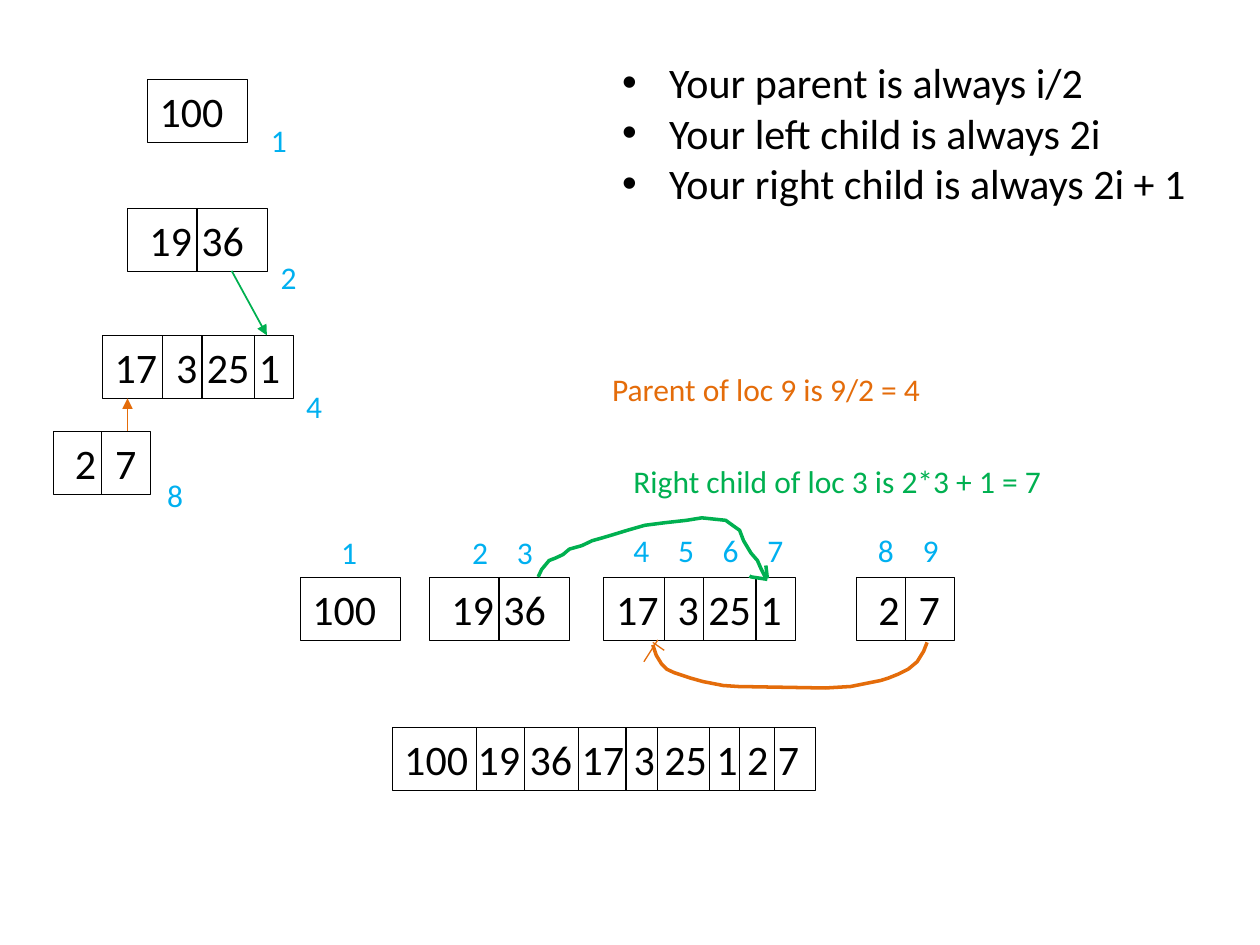
"""Build a slide that shows a binary heap as tree levels and as an array."""
from lxml import etree
from pptx import Presentation
from pptx.dml.color import RGBColor
from pptx.enum.shapes import MSO_CONNECTOR
from pptx.enum.text import MSO_AUTO_SIZE
from pptx.oxml.ns import qn
from pptx.util import Cm, Pt

STRAIGHT = MSO_CONNECTOR.STRAIGHT
FIT_SHAPE = MSO_AUTO_SIZE.SHAPE_TO_FIT_TEXT

THEME = {
    "font": "Calibri",
    "ink": RGBColor(0x00, 0x00, 0x00),
    "index": RGBColor(0x00, 0xB0, 0xF0),
    "parent": RGBColor(0xE4, 0x6C, 0x0A),
    "child": RGBColor(0x00, 0xB0, 0x50),
    "value_size": Pt(24),
    "note_size": Pt(18),
    "border": Pt(0.25),
    "divider": Pt(0.75),
    "arrow": Pt(1),
    "stroke": Pt(2),
}
FRAME_FORMAT = {"word_wrap": False, "auto_size": FIT_SHAPE}
CELL_HEIGHT = 1.27
NOTE_HEIGHT = 1.02
INSET = 0.25

prs = Presentation()
prs.slide_width, prs.slide_height = Cm(25.4), Cm(19.05)
slide = prs.slides.add_slide(prs.slide_layouts[6])
shapes = slide.shapes


def add_text(text, left, top, width, height, size, color, stops=()):
    box = shapes.add_textbox(Cm(left), Cm(top), Cm(width), Cm(height))
    frame = box.text_frame
    for name, value in FRAME_FORMAT.items():
        setattr(frame, name, value)
    for number, line in enumerate(text.split("\n")):
        paragraph = frame.add_paragraph() if number else frame.paragraphs[0]
        run = paragraph.add_run()
        run.text = line
        font_format = {"name": THEME["font"], "size": THEME[size]}
        for name, value in font_format.items():
            setattr(run.font, name, value)
        run.font.color.rgb = THEME[color]
        if stops:
            tabs = etree.SubElement(paragraph._p.get_or_add_pPr(), qn("a:tabLst"))
            for stop in stops:
                etree.SubElement(tabs, qn("a:tab"), pos=str(Cm(stop)), algn="l")
    return box


def add_line(start, end, color, width, arrow=False):
    line = shapes.add_connector(STRAIGHT, *(Cm(value) for value in (*start, *end)))
    line.line.color.rgb = THEME[color]
    line.line.width = THEME[width]
    if arrow:
        etree.SubElement(line.line._get_or_add_ln(), qn("a:tailEnd"), type="triangle")
    etree.SubElement(line._element.spPr, qn("a:effectLst"))


root = ("100", 2.01, 0, (), ())
second = ("19 36", 2.82, 0.19, (), (1.4,))
third = ("17\t3 25 1", 3.86, 0, (1.24,), (1.22, 2.01, 3.07))
leaves = ("2\t7", 1.96, 0.19, (0.81,), (0.98,))
heap_array = ("100 19 36 17 3 25 1 2 7", 8.53, 0, (),
              (1.7, 2.67, 3.76, 4.72, 5.36, 6.4, 7.01, 7.72))
ROW_TOP = 11.63
placed_levels = [
    (leaves, 1.07, 8.69), (root, 2.97, 1.6), (second, 2.57, 4.19), (third, 2.06, 6.76),
    (heap_array, 7.9, 14.66),
    (leaves, 17.27, ROW_TOP), (root, 6.05, ROW_TOP),
    (second, 8.66, ROW_TOP), (third, 12.17, ROW_TOP),
]
for (values, width, lead, stops, dividers), left, top in placed_levels:
    level = add_text(values, left, top, width, CELL_HEIGHT, "value_size", "ink", stops)
    level.text_frame.margin_left = Cm(INSET + lead)
    level.line.color.rgb = THEME["ink"]
    level.line.width = THEME["border"]
    for offset in dividers:
        x = left + offset
        add_line((x, top), (x, top + CELL_HEIGHT), "ink", "divider")

INDEX_STEP = 0.9
index_labels = [
    ("1", 5.21, 2.31), ("2", 5.41, 5.08), ("4", 5.92, 7.67), ("8", 3.12, 9.47),
    ("1", 6.63, 10.62), ("2\t3", 9.27, 10.62),
    ("4\t5\t6\t7", 12.52, 10.59), ("8\t9", 17.45, 10.59),
]
for indices, left, top in index_labels:
    gaps = indices.count("\t")
    stops = [INDEX_STEP * (gap + 1) for gap in range(gaps)]
    width = 0.84 + INDEX_STEP * gaps
    add_text(indices, left, top, width, NOTE_HEIGHT, "note_size", "index", stops)

rules = add_text(
    "Your parent is always i/2\nYour left child is always 2i\nYour right child is always 2i + 1",
    11.02, 1.02, 13.26, 4.11, "value_size", "ink")
for rule in rules.text_frame.paragraphs:
    rule.level = 1
    properties = rule._p.get_or_add_pPr()
    properties.set("marL", str(Cm(2.22)))
    properties.set("indent", str(Cm(-0.95)))
    etree.SubElement(properties, qn("a:buFont"), typeface="Arial")
    etree.SubElement(properties, qn("a:buChar"), char="•")

add_text("Parent of loc 9 is 9/2 = 4", 12.09, 7.34, 6.81, NOTE_HEIGHT, "note_size", "parent")
child_note = add_text("Right child of loc 3 is 2*3 + 1 = 7", 12.52, 9.19, 10.9, NOTE_HEIGHT,
                      "note_size", "child")
child_note.text_frame.word_wrap = True

add_line((2.57, 8.69), (2.57, 8.03), "parent", "arrow", arrow=True)
add_line((4.67, 5.46), (5.38, 6.76), "child", "arrow", arrow=True)
add_line((13.26, 12.9), (12.98, 13.34), "parent", "divider")
add_line((13.16, 12.95), (13.39, 13.11), "parent", "divider")

parent_curve = [
    (1869, 1295), (1862, 1313), (1849, 1334), (1831, 1349), (1811, 1359), (1791, 1367),
    (1775, 1372), (1750, 1377), (1715, 1384), (1664, 1387), (1488, 1384), (1458, 1382),
    (1417, 1374), (1392, 1367), (1359, 1356), (1344, 1349), (1334, 1339), (1323, 1321),
    (1316, 1300),
]
child_curve = [
    (1085, 1163), (1092, 1148), (1107, 1130), (1120, 1125), (1135, 1118), (1148, 1107),
    (1173, 1100), (1194, 1090), (1212, 1085), (1229, 1080), (1265, 1069), (1300, 1059),
    (1339, 1054), (1384, 1049), (1415, 1044), (1463, 1049), (1481, 1062), (1491, 1069),
    (1499, 1090), (1514, 1115), (1527, 1130), (1534, 1146), (1544, 1166),
]
child_tip_up = [(1547, 1166), (1544, 1140)]
child_tip_left = [(1547, 1168), (1514, 1163), (1511, 1161)]
strokes = [(parent_curve, "parent"), (child_curve, "child"),
           (child_tip_up, "child"), (child_tip_left, "child")]
for points, color in strokes:
    builder = shapes.build_freeform(*points[0], scale=Cm(0.01))
    builder.add_line_segments(points[1:], close=False)
    stroke = builder.convert_to_shape()
    stroke.shadow.inherit = False
    stroke.fill.background()
    stroke.line.color.rgb = THEME[color]
    stroke.line.width = THEME["stroke"]

prs.save("out.pptx")
